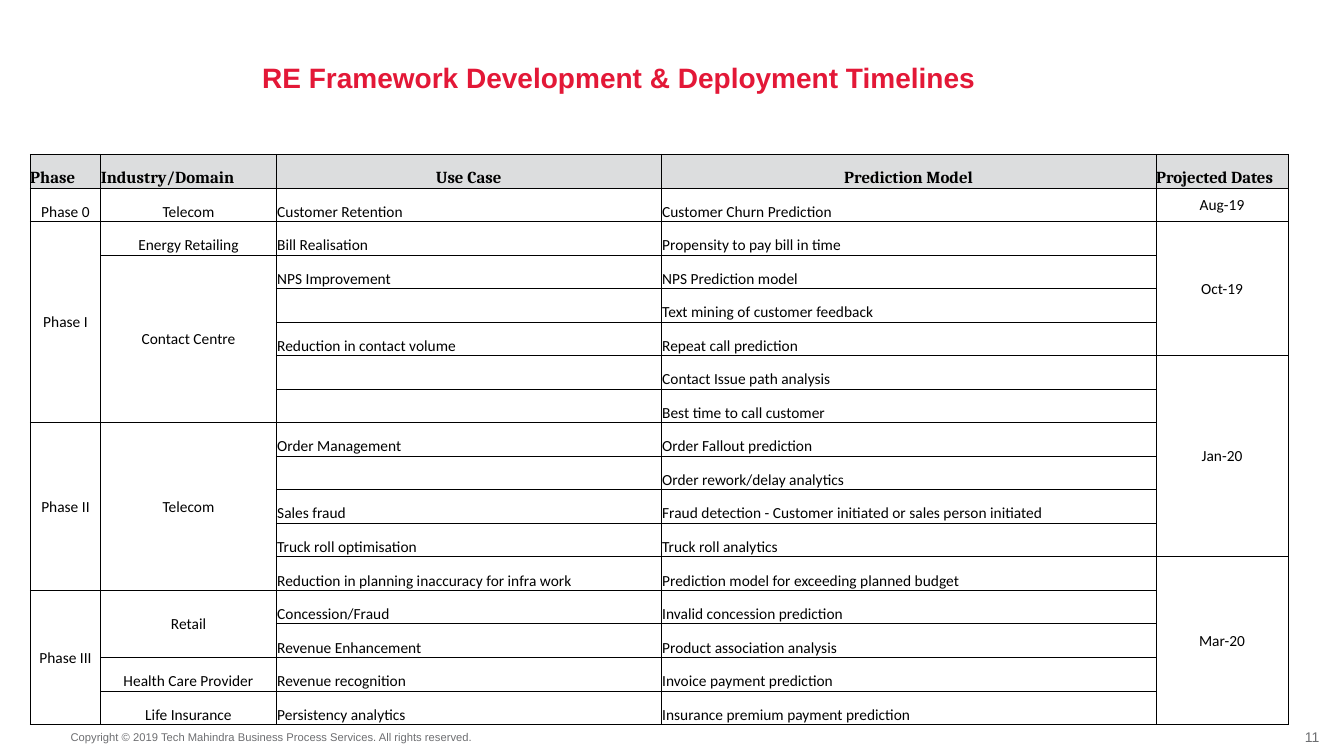
from lxml import etree
from pptx import Presentation
from pptx.dml.color import RGBColor
from pptx.enum.text import MSO_ANCHOR, MSO_AUTO_SIZE, PP_ALIGN
from pptx.oxml.ns import qn
from pptx.util import Pt

TOP, MIDDLE, BOTTOM = MSO_ANCHOR.TOP, MSO_ANCHOR.MIDDLE, MSO_ANCHOR.BOTTOM
LEFT, CENTER, RIGHT = PP_ALIGN.LEFT, PP_ALIGN.CENTER, PP_ALIGN.RIGHT
NO_AUTOFIT = MSO_AUTO_SIZE.NONE

COLORS = {"red": "E31837", "gray": "6D6E71", "header": "DCDDDE", "black": "000000"}

COLUMN_WIDTHS = [50.4, 125.3, 275, 353.5, 94.3]
ROW_HEIGHT = 23.97
HEADERS = ["Phase", "Industry/Domain", "Use Case", "Prediction Model", "Projected Dates"]
HEADER_ALIGNMENTS = [LEFT, LEFT, CENTER, CENTER, LEFT]
BODY_ALIGNMENTS = [CENTER, CENTER, LEFT, LEFT, CENTER]
BODY_ANCHORS = [BOTTOM, BOTTOM, BOTTOM, BOTTOM, MIDDLE]
JOINED = None
ROWS = [
    ("Phase 0", "Telecom", "Customer Retention", "Customer Churn Prediction", "Aug-19"),
    ("Phase I", "Energy Retailing", "Bill Realisation", "Propensity to pay bill in time", "Oct-19"),
    (JOINED, "Contact Centre", "NPS Improvement", "NPS Prediction model", JOINED),
    (JOINED, JOINED, "", "Text mining of customer feedback", JOINED),
    (JOINED, JOINED, "Reduction in contact volume", "Repeat call prediction", JOINED),
    (JOINED, JOINED, "", "Contact Issue path analysis", "Jan-20"),
    (JOINED, JOINED, "", "Best time to call customer", JOINED),
    ("Phase II", "Telecom", "Order Management", "Order Fallout prediction", JOINED),
    (JOINED, JOINED, "", "Order rework/delay analytics", JOINED),
    (JOINED, JOINED, "Sales fraud",
     "Fraud detection - Customer initiated or sales person initiated", JOINED),
    (JOINED, JOINED, "Truck roll optimisation", "Truck roll analytics", JOINED),
    (JOINED, JOINED, "Reduction in planning inaccuracy for infra work",
     "Prediction model for exceeding planned budget", "Mar-20"),
    ("Phase III", "Retail", "Concession/Fraud", "Invalid concession prediction", JOINED),
    (JOINED, JOINED, "Revenue Enhancement", "Product association analysis", JOINED),
    (JOINED, "Health Care Provider", "Revenue recognition", "Invoice payment prediction", JOINED),
    (JOINED, "Life Insurance", "Persistency analytics",
     "Insurance premium payment prediction", JOINED),
]


def write_text(frame, text, *, size, font, color="black", bold=False, alignment=LEFT):
    """Put one formatted line of text into a text frame."""
    paragraph = frame.paragraphs[0]
    paragraph.alignment = alignment
    paragraph.font.size = Pt(size)
    if text:
        run = paragraph.add_run()
        run.text = text
        run.font.size = Pt(size)
        run.font.name = font
        run.font.bold = bold
        run.font.color.rgb = RGBColor.from_string(COLORS[color])


def set_margins(target, side=0, top=0):
    """Set the inner margins of a text frame or a cell, with none below."""
    target.margin_left = target.margin_right = Pt(side)
    target.margin_top = Pt(top)
    target.margin_bottom = Pt(0)


def add_title(slide, text):
    """Place and fill the title placeholder."""
    title = slide.shapes.title
    title.left, title.top, title.width, title.height = Pt(187.2), Pt(43.2), Pt(540), Pt(29.5)
    frame = title.text_frame
    frame.auto_size = NO_AUTOFIT
    frame.vertical_anchor = TOP
    set_margins(frame)
    write_text(frame, text, size=20, font="Arial", color="red", bold=True)


def add_footer_text(slide, text, left, top, width, height, *, anchor=TOP, **text_format):
    """Add a small gray line at the foot of the slide."""
    box = slide.shapes.add_textbox(Pt(left), Pt(top), Pt(width), Pt(height))
    frame = box.text_frame
    frame.word_wrap = False
    frame.vertical_anchor = anchor
    set_margins(frame)
    write_text(frame, text, font="Arial", color="gray", **text_format)


def add_borders(cell):
    """Draw thin black lines on the four sides of a cell."""
    properties = cell._tc.get_or_add_tcPr()
    for position, side in enumerate(("a:lnL", "a:lnR", "a:lnT", "a:lnB")):
        line = etree.Element(qn(side), w=str(Pt(0.5)))
        fill = etree.SubElement(line, qn("a:solidFill"))
        etree.SubElement(fill, qn("a:srgbClr"), val=COLORS["black"])
        properties.insert(position, line)


def count_rows(row, column):
    """Count the rows that a body cell covers."""
    end = row + 1
    while end < len(ROWS) and ROWS[end][column] is JOINED:
        end += 1
    return end - row


def fill_header(table):
    """Write the gray heading row."""
    for column, (text, alignment) in enumerate(zip(HEADERS, HEADER_ALIGNMENTS)):
        cell = table.cell(0, column)
        set_margins(cell)
        cell.vertical_anchor = BOTTOM
        cell.fill.solid()
        cell.fill.fore_color.rgb = RGBColor.from_string(COLORS["header"])
        write_text(cell.text_frame, text, size=12, font="Cambria", bold=True, alignment=alignment)
        add_borders(cell)


def fill_body(table):
    """Write the body cells and merge those that cover several rows."""
    for row, values in enumerate(ROWS):
        for column, text in enumerate(values):
            cell = table.cell(row + 1, column)
            set_margins(cell, side=0.72, top=0.72)
            cell.fill.background()
            add_borders(cell)
            if text is JOINED:
                continue
            covered = count_rows(row, column)
            cell.vertical_anchor = MIDDLE if covered > 1 else BODY_ANCHORS[column]
            write_text(cell.text_frame, text, size=11, font="Calibri",
                       alignment=BODY_ALIGNMENTS[column])
            if covered > 1:
                cell.merge(table.cell(row + covered, column))


def add_timeline_table(slide):
    """Add the table of phases, use cases, models and dates."""
    row_count = len(ROWS) + 1
    frame = slide.shapes.add_table(row_count, len(HEADERS), Pt(21.6), Pt(110.2),
                                   Pt(sum(COLUMN_WIDTHS)), Pt(ROW_HEIGHT * row_count))
    table = frame.table
    table.horz_banding = False
    table.first_row = False
    for column, width in zip(table.columns, COLUMN_WIDTHS):
        column.width = Pt(width)
    for row in table.rows:
        row.height = Pt(ROW_HEIGHT)
    fill_header(table)
    fill_body(table)


def main():
    """Build the slide and save it."""
    presentation = Presentation()
    presentation.slide_width, presentation.slide_height = Pt(960), Pt(540)
    slide = presentation.slides.add_slide(presentation.slide_layouts[5])
    add_footer_text(slide, "11", 930.2, 520.6, 12.2, 12.2, size=10, alignment=RIGHT, anchor=MIDDLE)
    add_footer_text(
        slide, "Copyright © 2019 Tech Mahindra Business Process Services. All rights reserved.",
        50.4, 522, 289.4, 9.4, size=8)
    add_title(slide, "RE Framework Development & Deployment Timelines")
    add_timeline_table(slide)
    presentation.save("out.pptx")


if __name__ == "__main__":
    main()
